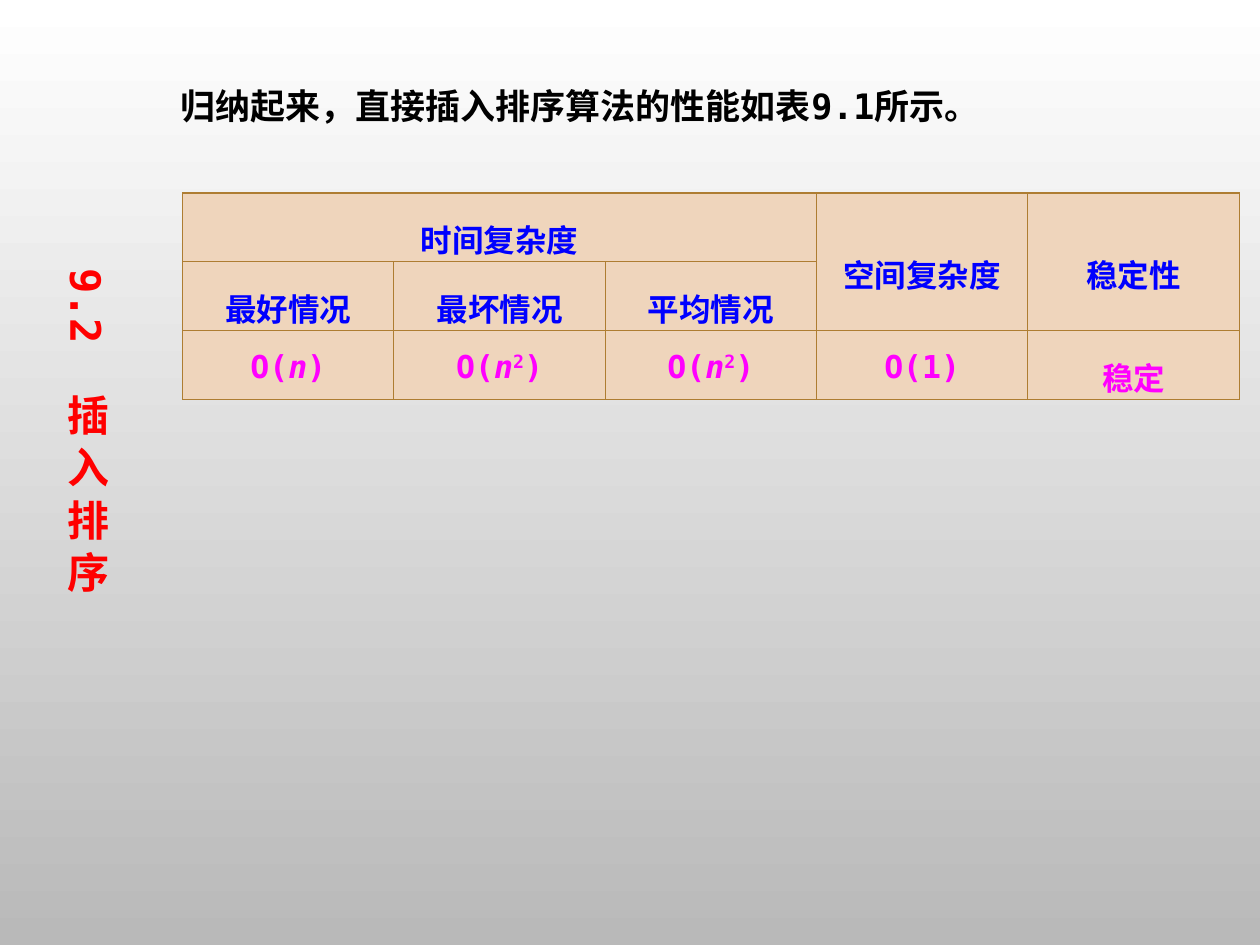
import lxml.etree
import pptx
import pptx.dml.color
import pptx.enum.text
import pptx.oxml.ns
import pptx.util

Cm = pptx.util.Cm
Pt = pptx.util.Pt
RGBColor = pptx.dml.color.RGBColor
qn = pptx.oxml.ns.qn
CENTER = pptx.enum.text.PP_ALIGN.CENTER
MIDDLE = pptx.enum.text.MSO_ANCHOR.MIDDLE

FONT = "DejaVu Sans Mono"
WHITE = RGBColor(0xFF, 0xFF, 0xFF)
GRAY = RGBColor(0xB9, 0xB9, 0xB9)
BLACK = RGBColor(0x00, 0x00, 0x00)
RED = RGBColor(0xFF, 0x00, 0x00)
BLUE = RGBColor(0x00, 0x00, 0xFF)
MAGENTA = RGBColor(0xFF, 0x00, 0xFF)
PEACH = RGBColor(0xEF, 0xD5, 0xBC)
BROWN = RGBColor(0xAE, 0x7D, 0x32)


def add_span(para, text, size, color):
    span = para.add_run()
    span.text = text
    span.font.name = FONT
    span.font.size = Pt(size)
    span.font.bold = True
    span.font.color.rgb = color
    return span


def add_heading(text, left, top, width, height, size, color):
    """Add a text box whose paragraph has half a line of space before it."""
    box = slide.shapes.add_textbox(Cm(left), Cm(top), Cm(width), Cm(height))
    box.text_frame.word_wrap = True
    para = box.text_frame.paragraphs[0]
    space = lxml.etree.SubElement(para._p.get_or_add_pPr(), qn("a:spcBef"))
    lxml.etree.SubElement(space, qn("a:spcPct")).set("val", "50000")
    add_span(para, text, size, color)
    return box


deck = pptx.Presentation()
deck.slide_width = Cm(25.4)
deck.slide_height = Cm(19.05)
slide = deck.slides.add_slide(deck.slide_layouts[6])

background = slide.background.fill
background.gradient()
background.gradient_angle = 270
for stop, color in zip(background.gradient_stops, (WHITE, GRAY)):
    stop.color.rgb = color

add_heading("归纳起来，直接插入排序算法的性能如表9.1所示。",
            3.38, 1.57, 19.81, 1.12, 20, BLACK)

# Each cell is a list of text pieces; None marks a cell covered by a merge.
ROWS = [
    [["时间复杂度"], None, None, ["空间复杂度"], ["稳定性"]],
    [["最好情况"], ["最坏情况"], ["平均情况"], None, None],
    [["O(", "n", ")"], ["O(", "n", "2", ")"], ["O(", "n", "2", ")"],
     ["O(1)"], ["稳定"]],
]
COLUMN_WIDTH = 4.26
ROW_HEIGHT = 1.39

table = slide.shapes.add_table(
    3, 5, Cm(3.68), Cm(3.89), Cm(5 * COLUMN_WIDTH), Cm(3 * ROW_HEIGHT)).table
for column in table.columns:
    column.width = Cm(COLUMN_WIDTH)
for row in table.rows:
    row.height = Cm(ROW_HEIGHT)

for row_index, row in enumerate(ROWS):
    for column_index, pieces in enumerate(row):
        cell = table.cell(row_index, column_index)
        cell.margin_top = cell.margin_bottom = 0
        for side in ("a:lnL", "a:lnR", "a:lnT", "a:lnB"):
            border = lxml.etree.SubElement(cell._tc.get_or_add_tcPr(), qn(side))
            border.set("w", str(Pt(0.75)))
            paint = lxml.etree.SubElement(border, qn("a:solidFill"))
            lxml.etree.SubElement(paint, qn("a:srgbClr")).set("val", str(BROWN))
        cell.fill.solid()
        cell.fill.fore_color.rgb = PEACH
        if pieces is None:
            continue
        para = cell.text_frame.paragraphs[0]
        para.alignment = CENTER
        para.line_spacing = 1.5
        for piece in pieces:
            span = add_span(para, piece, 18, MAGENTA if row_index == 2 else BLUE)
            if piece == "n":
                span.font.italic = True
            elif piece == "2":
                span.font._element.set("baseline", "30000")

table.cell(0, 0).merge(table.cell(0, 2))
for column_index in (3, 4):
    header = table.cell(0, column_index)
    header.merge(table.cell(1, column_index))
    header.vertical_anchor = MIDDLE

section = add_heading("9.2  插 入 排 序", 0.84, 5.16, 1.55, 8.13, 24, RED)
section.text_frame.paragraphs[0].alignment = CENTER
section.text_frame._txBody.bodyPr.set("vert", "eaVert")

deck.save("out.pptx")
